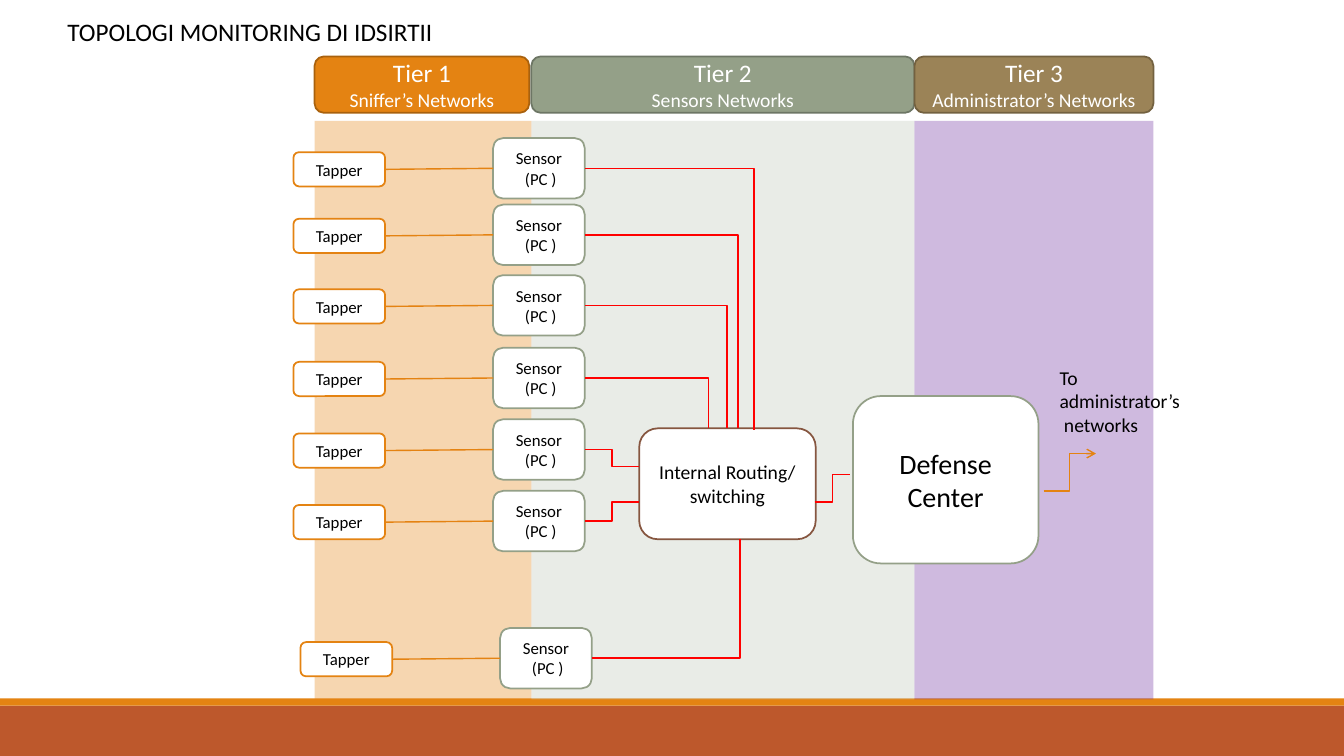
from lxml import etree
from pptx import Presentation
from pptx.dml.color import RGBColor
from pptx.enum.shapes import MSO_CONNECTOR, MSO_SHAPE
from pptx.enum.text import MSO_ANCHOR, PP_ALIGN
from pptx.oxml.ns import qn
from pptx.util import Inches, Pt

RECT, ROUND = MSO_SHAPE.RECTANGLE, MSO_SHAPE.ROUNDED_RECTANGLE
STRAIGHT, ELBOW = MSO_CONNECTOR.STRAIGHT, MSO_CONNECTOR.ELBOW
MIDDLE, TOP = MSO_ANCHOR.MIDDLE, MSO_ANCHOR.TOP
CENTER, LEFT = PP_ALIGN.CENTER, PP_ALIGN.LEFT
BOTTOM_SIDE, LEFT_SIDE, RIGHT_SIDE = 2, 1, 3

# Content
FONT = "Calibri"
ORANGE, SAGE, RED, BLACK, WHITE = "E48312", "94A088", "FF0000", "000000", "FFFFFF"

TITLE = "TOPOLOGI MONITORING DI IDSIRTII"
FOOTER_BARS = [(7, 0.5, "BD582C"), (6.93, 0.07, ORANGE)]  # top, height, fill

# name, network, left, header width, zone width, header fill, header line, zone fill
TIERS = [
    ("Tier 1", "Sniffer’s Networks", 3.12, 2.13, 2.15, ORANGE, "A9610D", ORANGE),
    ("Tier 2", "Sensors Networks", 5.27, 3.8, 3.8, SAGE, "6D7665", "BFC6B8"),
    ("Tier 3", "Administrator’s Networks", 9.07, 2.37, 2.37, "9B8357", "736140", "7030A0"),
]
ZONE_OPACITY = 33

# sensor top, shift to the right, where its link meets the router, link has one corner
SENSOR_ROWS = [
    (1.37, 0, (7.48, 4.27), True),
    (2.03, 0, (7.32, 4.25), True),
    (2.73, 0, (7.21, 4.25), True),
    (3.45, 0, (7.03, 4.25), True),
    (4.16, 0, (6.34, 4.63), False),
    (4.87, 0, (6.34, 4.98), False),
    (6.23, 0.07, (7.34, 5.35), True),
]
TAPPER_LEFT, TAPPER_HEIGHT = 2.91, 0.34
SENSOR_LEFT, SENSOR_HEIGHT = 4.89, 0.6
NODE_WIDTH = 0.91

ROUTER = ("Internal Routing/ switching", (6.34, 4.25, 1.75, 1.1), "865640", 14)
DEFENSE = ("Defense Center", (8.46, 3.93, 1.84, 1.66), SAGE, 20)
ADMIN_NOTE = ["To administrator’s", " networks"]

prs = Presentation()
prs.slide_width, prs.slide_height = Inches(13.33), Inches(7.5)
slide = prs.slides.add_slide(prs.slide_layouts[6])


def color(hex_string):
    return RGBColor.from_string(hex_string)


def write(shape, lines, sizes, ink=BLACK, align=CENTER, anchor=MIDDLE, wrap=True):
    frame = shape.text_frame
    frame.text = "\n".join(lines)
    frame.word_wrap = wrap
    frame.vertical_anchor = anchor
    for paragraph, size in zip(frame.paragraphs, sizes):
        paragraph.alignment = align
        for run in paragraph.runs:
            run.font.name, run.font.size = FONT, Pt(size)
            run.font.color.rgb = color(ink)


def add_box(kind, box, fill, outline=None, opacity=100):
    shape = slide.shapes.add_shape(kind, *map(Inches, box))
    shape.shadow.inherit = False
    shape.fill.solid()
    shape.fill.fore_color.rgb = color(fill)
    if opacity < 100:
        tint = shape.fill._xPr.find(qn("a:solidFill"))[0]
        etree.SubElement(tint, qn("a:alpha")).set("val", str(opacity * 1000))
    if outline:
        shape.line.color.rgb = color(outline)
        shape.line.width = Pt(1.25)
    else:
        shape.line.fill.background()
    return shape


def add_node(lines, box, outline, size):
    node = add_box(ROUND, box, WHITE, outline)
    write(node, lines, [size] * len(lines))
    return node


def add_link(kind, start, end, ink, one_corner=False, arrow=False):
    link = slide.shapes.add_connector(kind, *map(Inches, start + end))
    link.line.color.rgb = color(ink)
    link.line.width = Pt(1)
    properties = link._element.spPr
    if one_corner:
        properties.find(qn("a:prstGeom")).set("prst", "bentConnector2")
    if arrow:
        etree.SubElement(properties.find(qn("a:ln")), qn("a:tailEnd")).set("type", "arrow")
    etree.SubElement(properties, qn("a:effectLst"))
    return link


# Footer bars and tier zones
for top, height, fill in FOOTER_BARS:
    add_box(RECT, (0, top, 13.33, height), fill)
for *_, left, _, width, _, _, fill in reversed(TIERS):
    add_box(RECT, (left, 1.2, width, 5.74), fill, opacity=ZONE_OPACITY)

# Router, then each tapper and sensor with their links
router_label, router_box, router_line, router_size = ROUTER
add_node([router_label], router_box, router_line, router_size)

for top, shift, router_end, one_corner in SENSOR_ROWS:
    middle = top + SENSOR_HEIGHT / 2
    tapper_left, sensor_left = TAPPER_LEFT + shift, SENSOR_LEFT + shift
    tapper = add_node(["Tapper"], (tapper_left, top + 0.14, NODE_WIDTH, TAPPER_HEIGHT), ORANGE, 12)
    sensor = add_node(["Sensor", " (PC )"], (sensor_left, top, NODE_WIDTH, SENSOR_HEIGHT), SAGE, 12)
    tap = add_link(STRAIGHT, (tapper_left + NODE_WIDTH, middle), (sensor_left, middle), ORANGE)
    tap.begin_connect(tapper, RIGHT_SIDE)
    tap.end_connect(sensor, LEFT_SIDE)
    add_link(ELBOW, (sensor_left + NODE_WIDTH, middle), router_end, RED, one_corner)

# Defense center and the way out to the administrators
defense_label, defense_box, defense_line, defense_size = DEFENSE
add_node([defense_label], defense_box, defense_line, defense_size)
add_link(ELBOW, (8.08, 4.98), (8.43, 4.71), RED)
add_link(ELBOW, (10.35, 4.87), (10.87, 4.5), ORANGE, arrow=True)

# Tier headers
for name, network, left, width, _, fill, outline, _ in TIERS:
    header = add_box(ROUND, (left, 0.56, width, 0.56), fill, outline)
    write(header, [name, network], [18, 14], WHITE)

# Note and title
note = slide.shapes.add_textbox(*map(Inches, (10.41, 3.58, 1.51, 0.55)))
write(note, ADMIN_NOTE, [14, 14], align=LEFT, anchor=TOP)
title = slide.shapes.add_textbox(*map(Inches, (0.57, 0.11, 3.86, 0.4)))
write(title, [TITLE], [18], align=LEFT, anchor=TOP, wrap=False)

prs.save("out.pptx")
